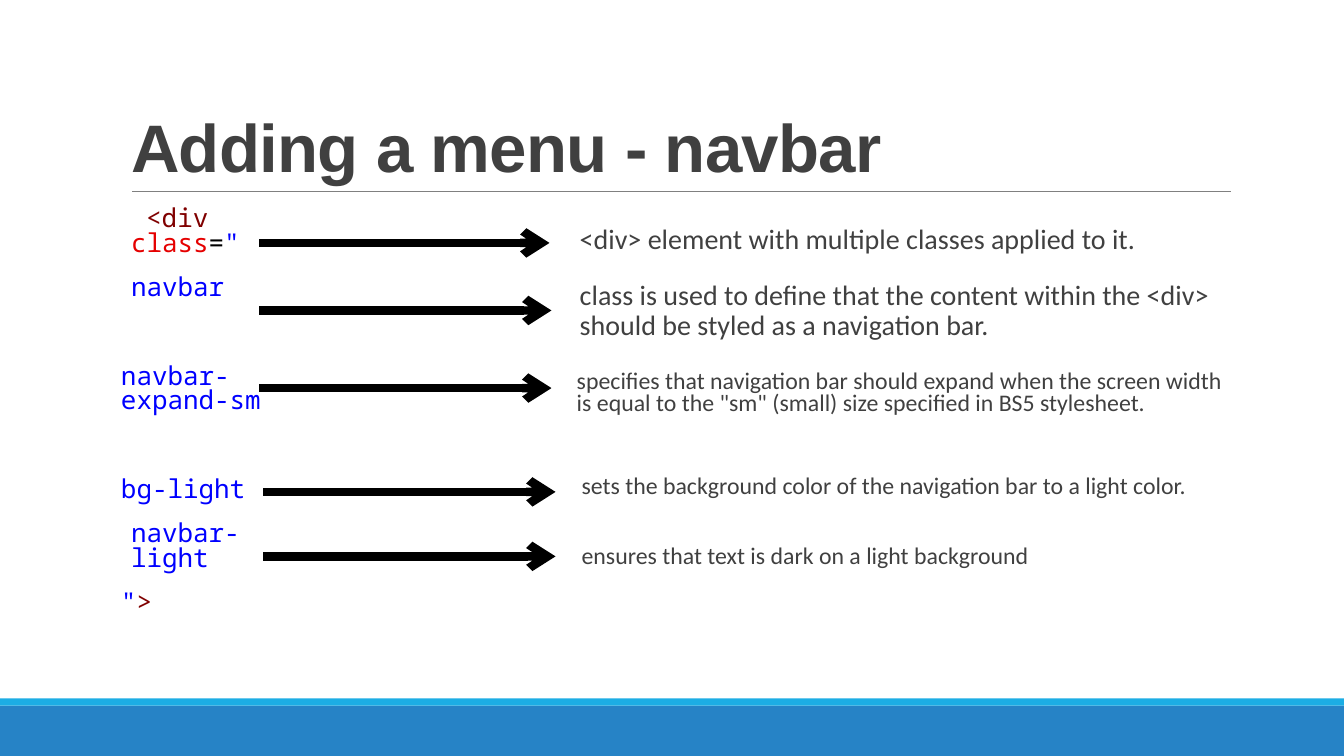
from lxml.etree import SubElement
from pptx import Presentation
from pptx.dml.color import RGBColor
from pptx.enum.dml import MSO_LINE
from pptx.enum.shapes import MSO_CONNECTOR, MSO_SHAPE
from pptx.enum.text import MSO_ANCHOR, MSO_AUTO_SIZE, PP_ALIGN
from pptx.oxml.ns import qn
from pptx.util import Inches, Pt

WHITE = RGBColor(0xFF, 0xFF, 0xFF)
BLACK = RGBColor(0x00, 0x00, 0x00)
GRAY = RGBColor(0x80, 0x80, 0x80)
DARK = RGBColor(0x40, 0x40, 0x40)
BAND_BLUE = RGBColor(0x26, 0x83, 0xC6)
STRIPE_BLUE = RGBColor(0x1C, 0xAD, 0xE4)
TAG = RGBColor(0x80, 0x00, 0x00)
ATTRIBUTE = RGBColor(0xE5, 0x00, 0x00)
VALUE = RGBColor(0x00, 0x00, 0xFF)

TITLE = "Adding a menu - navbar"
BANDS = [(7, 0.5, BAND_BLUE), (6.93, 0.07, STRIPE_BLUE)]
CODE_BOX = (1.2, 2.02, 1.71, 4.4)
CODE_GAP = 12
WIDE_GAP = 44
CODE_LINES = [
    (0.1, 0.15, CODE_GAP, [("<div ", TAG), ("class", ATTRIBUTE), ("=", BLACK), ('"', VALUE)]),
    (0.1, 0, CODE_GAP, [("navbar", VALUE)]),
    (0, 0, WIDE_GAP, [("navbar-expand-sm", VALUE)]),
    (0, 0, WIDE_GAP, [("bg-light", VALUE)]),
    (0.1, 0, CODE_GAP, [("navbar-light", VALUE)]),
    (0, 0, CODE_GAP, [('"', VALUE), (">", TAG)]),
]
ARROWS = [(2.57, 5.45, 2.41), (2.57, 5.47, 3.08), (2.57, 5.47, 3.85),
          (2.61, 5.51, 4.88), (2.61, 5.51, 5.52)]
LARGE = {"size": 20, "inset": 0, "line_spacing": 0.9, "before": 12, "after": 2}
COMPACT = {"size": 17, "inset": 0, "line_spacing": 0.8, "before": 12, "after": 2}
PLAIN = {"size": 17, "inset": 0.1, "line_spacing": 1.0, "before": 0, "after": 0}
EXPLANATIONS = [
    ("<div> element with multiple classes applied to it.", (5.75, 2.19, 5.53, 0.74), LARGE),
    ("class is used to define that the content within the <div> should be styled "
     "as a navigation bar.", (5.75, 2.74, 6.59, 0.74), LARGE),
    ("specifies that navigation bar should expand when the screen width is equal to "
     'the "sm" (small) size specified in BS5 stylesheet.', (5.72, 3.63, 6.59, 0.74), COMPACT),
    ("sets the background color of the navigation bar to a light color.",
     (5.67, 4.62, 6.67, 0.39), PLAIN),
    ("ensures that text is dark on a light background", (5.67, 5.31, 6.67, 0.39), PLAIN),
]


def set_values(target, values):
    """Set each named attribute of the target."""
    for name, value in values.items():
        setattr(target, name, value)


def add_run(paragraph, text, font_name, size, color, bold=False):
    """Add one formatted run to the paragraph."""
    run = paragraph.add_run()
    run.text = text
    set_values(run.font, {"name": font_name, "size": Pt(size), "bold": bold})
    run.font.color.rgb = color
    return run


def add_text_frame(slide, box, inset):
    """Add a wrapping text box and return its text frame."""
    frame = slide.shapes.add_textbox(*map(Inches, box)).text_frame
    set_values(frame, {
        "word_wrap": True, "auto_size": MSO_AUTO_SIZE.NONE, "vertical_anchor": MSO_ANCHOR.TOP,
        "margin_left": Inches(inset), "margin_right": Inches(inset),
        "margin_top": Inches(0.05), "margin_bottom": Inches(0.05)})
    return frame


def add_line(slide, start, end, color, width):
    """Add a straight connector without a shadow."""
    connector = slide.shapes.add_connector(
        MSO_CONNECTOR.STRAIGHT, *map(Inches, (*start, *end)))
    connector.line.color.rgb = color
    connector.line.width = Pt(width)
    connector.line.dash_style = MSO_LINE.SOLID
    SubElement(connector._element.spPr, qn("a:effectLst"))
    return connector


def add_background(slide):
    """Draw the white background, the footer bands and the title rule."""
    slide.background.fill.solid()
    slide.background.fill.fore_color.rgb = WHITE
    for top, height, color in BANDS:
        band = slide.shapes.add_shape(
            MSO_SHAPE.RECTANGLE, *map(Inches, (0, top, 13.33, height)))
        band.shadow.inherit = False
        band.fill.solid()
        band.fill.fore_color.rgb = color
        band.line.fill.background()
    add_line(slide, (1.31, 1.9), (12.21, 1.9), GRAY, 0.5)


def add_title(slide):
    """Place and format the title."""
    title = slide.shapes.title
    set_values(title, {"left": Inches(1.2), "top": Inches(0.31),
                       "width": Inches(11), "height": Inches(1.59)})
    set_values(title.text_frame, {"vertical_anchor": MSO_ANCHOR.BOTTOM, "word_wrap": True,
                                  "auto_size": MSO_AUTO_SIZE.NONE})
    paragraph = title.text_frame.paragraphs[0]
    set_values(paragraph, {"alignment": PP_ALIGN.LEFT, "line_spacing": 0.85})
    run = add_run(paragraph, TITLE, "Arial", 48, DARK, True)
    run._r.get_or_add_rPr().set("spc", "-50")


def add_code(slide):
    """Write the coloured code column."""
    frame = add_text_frame(slide, CODE_BOX, 0)
    for index, (margin, indent, before, runs) in enumerate(CODE_LINES):
        paragraph = frame.add_paragraph() if index else frame.paragraphs[0]
        set_values(paragraph, {"line_spacing": Pt(17.5), "space_before": Pt(before),
                               "space_after": Pt(2)})
        properties = paragraph._p.get_or_add_pPr()
        properties.set("marL", str(Inches(margin)))
        properties.set("indent", str(Inches(indent)))
        for text, color in runs:
            add_run(paragraph, text, "Noto Sans Mono", 18.5, color)


def add_explanations(slide):
    """Draw the arrows and the explanations they lead to."""
    for (left, right, middle), (text, box, style) in zip(ARROWS, EXPLANATIONS):
        arrow = add_line(slide, (left, middle), (right, middle), BLACK, 6)
        SubElement(arrow.line._get_or_add_ln(), qn("a:tailEnd"), type="arrow")
        paragraph = add_text_frame(slide, box, style["inset"]).paragraphs[0]
        set_values(paragraph, {"line_spacing": style["line_spacing"],
                               "space_before": Pt(style["before"]),
                               "space_after": Pt(style["after"])})
        add_run(paragraph, text, "Calibri", style["size"], DARK)


def main():
    """Build and save the navbar slide."""
    presentation = Presentation()
    set_values(presentation, {"slide_width": Inches(13.33), "slide_height": Inches(7.5)})
    slide = presentation.slides.add_slide(presentation.slide_layouts[5])
    add_background(slide)
    add_title(slide)
    add_code(slide)
    add_explanations(slide)
    presentation.save("out.pptx")


if __name__ == "__main__":
    main()
